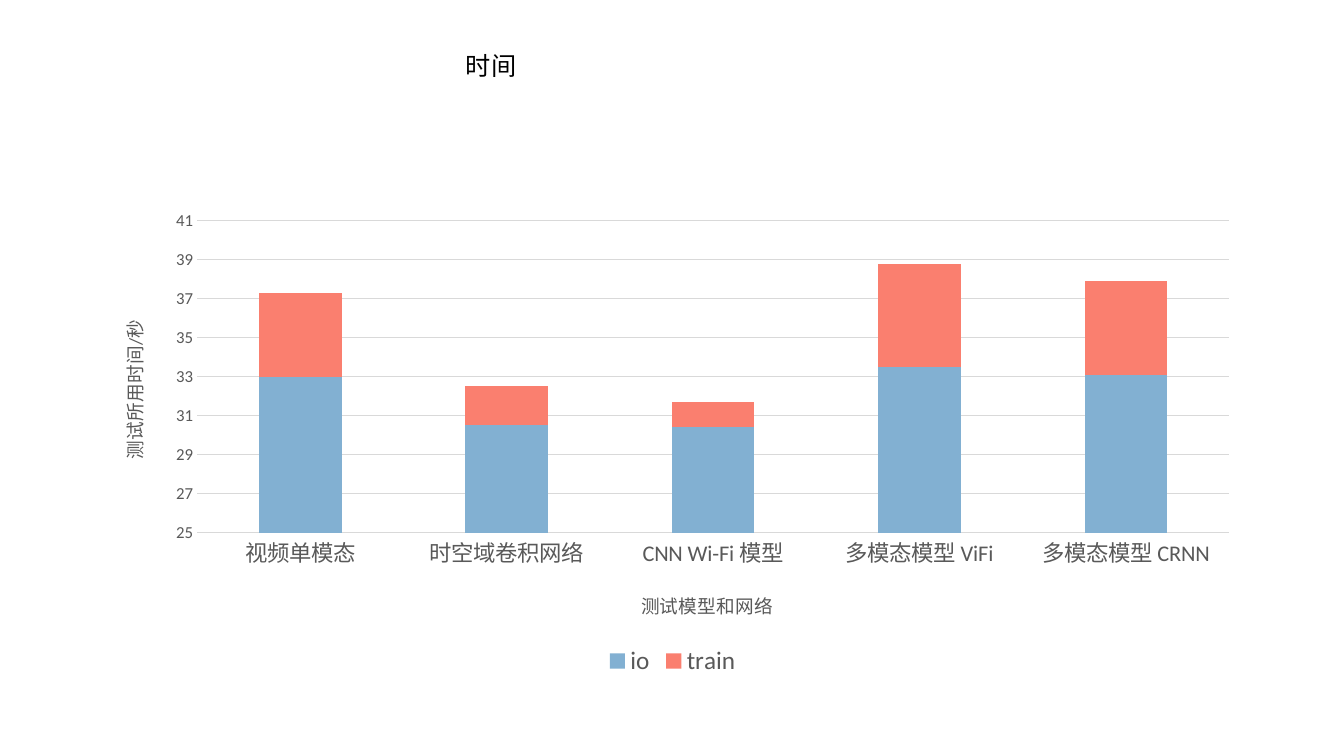
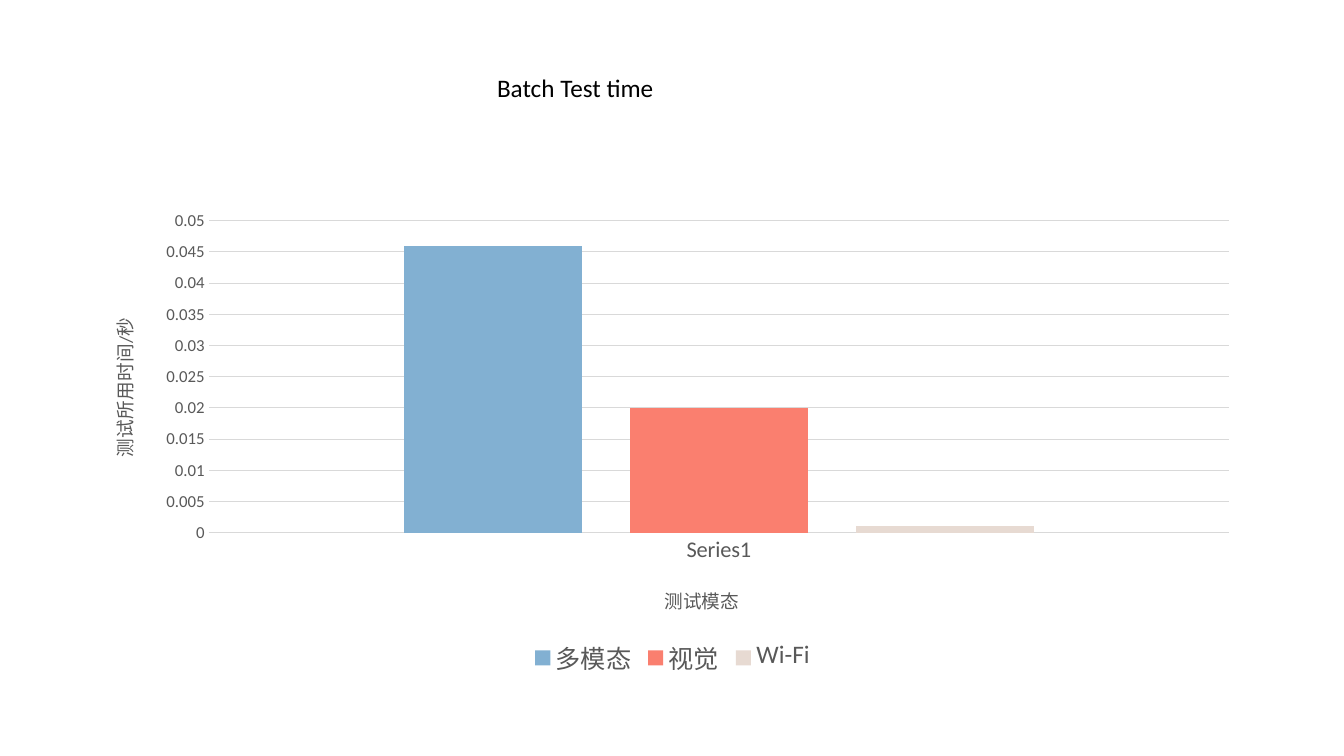
"""Build two slides that compare test times in column charts."""
import lxml.etree
import pptx
import pptx.chart.data
import pptx.dml.color
import pptx.enum.chart
import pptx.enum.text
import pptx.oxml.ns
import pptx.util

COLORS = {"title": "000000", "label": "595959", "grid": "D9D9D9",
          "blue": "82B0D2", "coral": "FA7F6F", "sand": "E7DAD2"}
SERIES_COLORS = ["blue", "coral", "sand"]
FONT = "Calibri"
Inches = pptx.util.Inches
ChartType = pptx.enum.chart.XL_CHART_TYPE

SLIDES = [
    {"title": "时间", "title_box": (4.52, 0.45, 0.86, 0.4),
     "type": ChartType.COLUMN_STACKED, "gap": 150, "overlap": 100,
     "categories": ["视频单模态", "时空域卷积网络", "CNN Wi-Fi 模型",
                    "多模态模型 ViFi", "多模态模型 CRNN"],
     "series": {"io": [33, 30.5, 30.4, 33.5, 33.1],
                "train": [4.3, 2, 1.3, 5.3, 4.8]},
     "scale": (25, 41, 2), "category_title": "测试模型和网络",
     "plot_area": {"x": 0.09, "y": 0.04, "w": 0.89, "h": 0.65},
     "category_title_at": {"x": 0.47, "y": 0.8}},
    {"title": "Batch Test time", "title_box": (4.83, 0.67, 1.83, 0.41),
     "type": ChartType.COLUMN_CLUSTERED, "gap": 219, "overlap": -27,
     "categories": ["Series1"],
     "series": {"多模态": [0.046], "视觉": [0.02], "Wi-Fi": [0.001]},
     "scale": (0, 0.05, 0.005), "category_title": "测试模态",
     "plot_area": {"x": 0.1, "y": 0.04, "w": 0.88, "h": 0.65},
     "category_title_at": {"x": 0.49, "y": 0.79}},
]


def style_font(font, size, color):
    font.name = FONT
    font.size = pptx.util.Pt(size)
    font.bold = False
    font.color.rgb = pptx.dml.color.RGBColor.from_string(COLORS[color])


def set_layout(parent, index, fractions):
    qn = pptx.oxml.ns.qn
    for old in parent.findall(qn("c:layout")):
        parent.remove(old)
    layout = lxml.etree.Element(qn("c:layout"))
    manual = lxml.etree.SubElement(layout, qn("c:manualLayout"))
    if "w" in fractions:
        lxml.etree.SubElement(manual, qn("c:layoutTarget"), val="inner")
    for edge in ("xMode", "yMode"):
        lxml.etree.SubElement(manual, qn("c:" + edge), val="edge")
    for name, value in fractions.items():
        lxml.etree.SubElement(manual, qn("c:" + name), val=str(value))
    parent.insert(index, layout)


deck = pptx.Presentation()
deck.slide_width = Inches(13.33)
deck.slide_height = Inches(7.5)

for content in SLIDES:
    page = deck.slides.add_slide(deck.slide_layouts[5])

    data = pptx.chart.data.CategoryChartData()
    data.categories = content["categories"]
    for name, values in content["series"].items():
        data.add_series(name, values)
    chart = page.shapes.add_chart(content["type"], Inches(0.92), Inches(2),
                                  Inches(11.5), Inches(4.76), data).chart
    chart.has_title = False
    style_font(chart.font, 10, "title")

    plot = chart.plots[0]
    plot.vary_by_categories = False
    plot.gap_width = content["gap"]
    plot.overlap = content["overlap"]
    for series, color in zip(plot.series, SERIES_COLORS):
        series.format.fill.solid()
        series.format.fill.fore_color.rgb = pptx.dml.color.RGBColor.from_string(COLORS[color])

    category_axis, value_axis = chart.category_axis, chart.value_axis
    for axis, text, size in ((category_axis, content["category_title"], 16),
                             (value_axis, "测试所用时间/秒", 12)):
        axis.major_tick_mark = pptx.enum.chart.XL_TICK_MARK.NONE
        axis.minor_tick_mark = pptx.enum.chart.XL_TICK_MARK.NONE
        style_font(axis.tick_labels.font, size, "label")
        frame = axis.axis_title.text_frame
        frame.text = text
        style_font(frame.paragraphs[0].runs[0].font, 13.3, "label")

    value_axis.minimum_scale, value_axis.maximum_scale, value_axis.major_unit = content["scale"]
    value_axis.format.line.fill.background()
    for line in (category_axis.format.line, value_axis.major_gridlines.format.line):
        line.color.rgb = pptx.dml.color.RGBColor.from_string(COLORS["grid"])
        line.width = pptx.util.Pt(0.75)

    chart.has_legend = True
    chart.legend.position = pptx.enum.chart.XL_LEGEND_POSITION.BOTTOM
    chart.legend.include_in_layout = False
    style_font(chart.legend.font, 18, "label")

    set_layout(chart.element.find(".//" + pptx.oxml.ns.qn("c:plotArea")), 0,
               content["plot_area"])
    set_layout(category_axis.axis_title.element, 1, content["category_title_at"])

    title = page.shapes.title
    title.left, title.top, title.width, title.height = map(Inches, content["title_box"])
    frame = title.text_frame
    frame.text = content["title"]
    frame.word_wrap = False
    frame.auto_size = pptx.enum.text.MSO_AUTO_SIZE.SHAPE_TO_FIT_TEXT
    frame.vertical_anchor = pptx.enum.text.MSO_ANCHOR.TOP
    frame.paragraphs[0].alignment = pptx.enum.text.PP_ALIGN.LEFT
    style_font(frame.paragraphs[0].runs[0].font, 18, "title")

deck.save("out.pptx")
